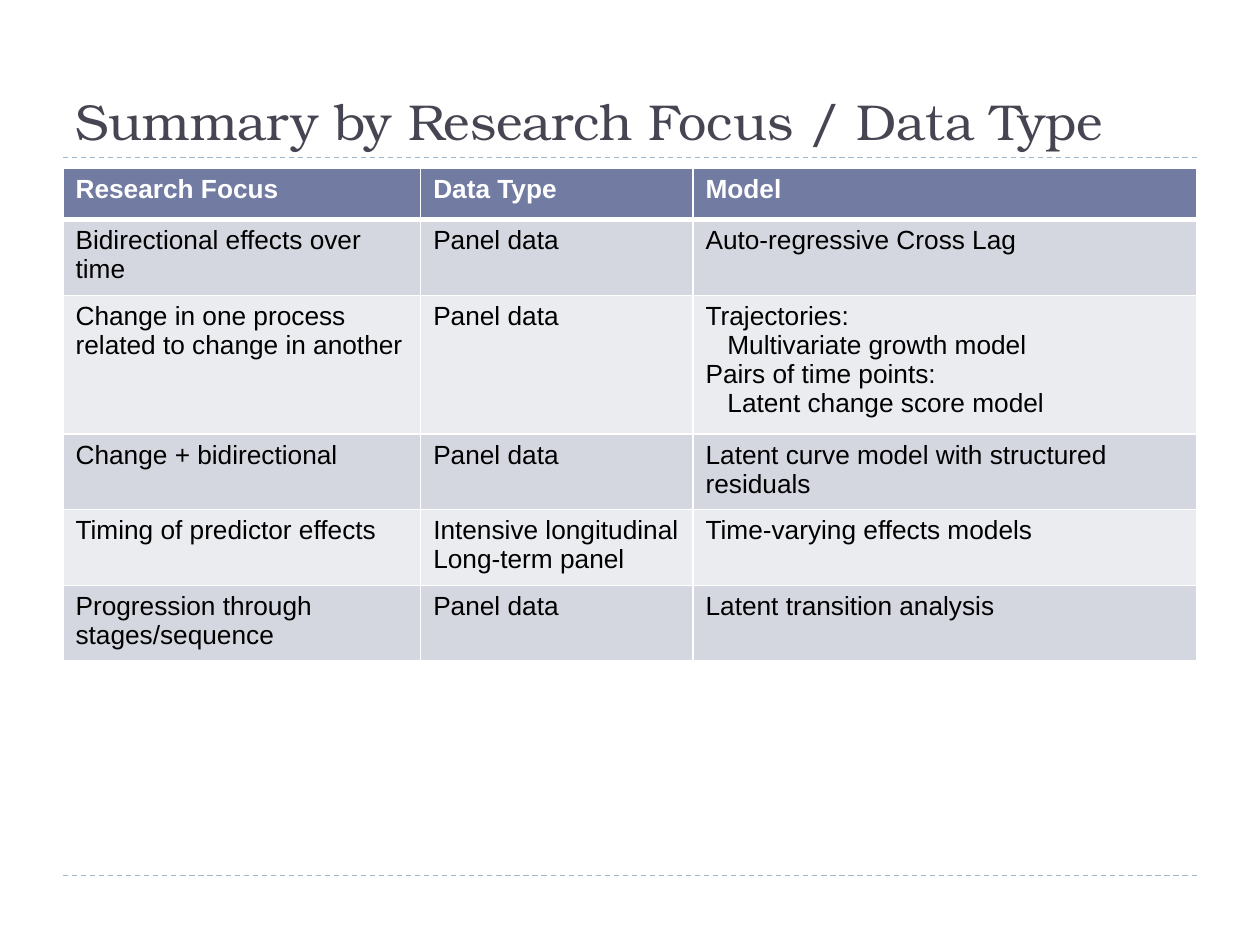
from pptx import Presentation
from pptx.dml.color import RGBColor
from pptx.enum.dml import MSO_LINE_DASH_STYLE as Dash
from pptx.enum.shapes import MSO_CONNECTOR as Link
from pptx.enum.text import MSO_ANCHOR as Anchor
from pptx.oxml import parse_xml
from pptx.oxml.ns import nsdecls
from pptx.util import Cm, Pt
from lxml.etree import SubElement

WHITE = RGBColor(0xFF, 0xFF, 0xFF)
BLACK = RGBColor(0, 0, 0)
SLATE = RGBColor(0x46, 0x46, 0x53)
RULE = RGBColor(0x9F, 0xB8, 0xCD)
HEAD = RGBColor(0x72, 0x7C, 0xA3)
BANDS = RGBColor(0xD5, 0xD7, 0xE0), RGBColor(0xEB, 0xEC, 0xF0)

LEFT, WIDE = 1.27, 22.86
COLS = 7.21, 5.49, 10.16
ROWS = [
    ("Research Focus", "Data Type", "Model"),
    ("Bidirectional effects over time", "Panel data", "Auto-regressive Cross Lag"),
    ("Change in one process related to change in another", "Panel data",
     "Trajectories:\n\tMultivariate growth model\n"
     "Pairs of time points:\n\tLatent change score model"),
    ("Change + bidirectional", "Panel data",
     "Latent curve model with structured residuals"),
    ("Timing of predictor effects", "Intensive longitudinal\nLong-term panel",
     "Time-varying effects models"),
    ("Progression through stages/sequence", "Panel data", "Latent transition analysis"),
]


def write(frame, text, font="Arial", size=15, color=BLACK, bold=False):
    """Fill a text frame line by line, indenting lines that start with a tab."""
    for i, line in enumerate(text.split("\n")):
        para = frame.add_paragraph() if i else frame.paragraphs[0]
        if line.startswith("\t"):
            para._p.get_or_add_pPr().set("marL", str(Cm(0.44)))
        run = para.add_run()
        run.text = line.strip()
        run.font.name, run.font.size, run.font.bold = font, Pt(size), bold
        run.font.color.rgb = color


def add_rule(slide, x, y, w):
    """Draw a dashed rule across the given width."""
    rule = slide.shapes.add_connector(Link.STRAIGHT, Cm(x), Cm(y), Cm(x + w), Cm(y))
    rule.line.color.rgb = RULE
    rule.line.width = Pt(0.75)
    rule.line.dash_style = Dash.DASH
    SubElement(rule._element.spPr, "{http://schemas.openxmlformats.org/drawingml/2006/main}effectLst")


def add_title(slide, x, y, w, h, text):
    """Set the title at the foot of its box, over a rule."""
    add_rule(slide, x, y + h, w)
    frame = slide.shapes.add_textbox(Cm(x), Cm(y), Cm(w), Cm(h)).text_frame
    frame.word_wrap = True
    frame.vertical_anchor = Anchor.BOTTOM
    write(frame, text, font="TeX Gyre Bonum", size=28.8, color=SLATE)


def set_edges(cell, top, base):
    """Give a cell white borders of the given top and base widths."""
    props = cell._tc.get_or_add_tcPr()
    for i, (side, size) in enumerate(zip("LRTB", (1, 1, top, base))):
        props.insert(i, parse_xml(
            f'<a:ln{side} {nsdecls("a")} w="{Pt(size)}"><a:solidFill>'
            f'<a:srgbClr val="{WHITE}"/></a:solidFill></a:ln{side}>'))


def add_grid(slide, x, y, w, row_h):
    """Build the banded table under its header row."""
    grid = slide.shapes.add_table(len(ROWS), len(COLS), Cm(x), Cm(y), Cm(w),
                                  Cm(row_h * len(ROWS))).table
    for col, size in zip(grid.columns, COLS):
        col.width = Cm(size)
    for r, row in enumerate(ROWS):
        top = r == 0
        for c, text in enumerate(row):
            cell = grid.cell(r, c)
            cell.fill.solid()
            cell.fill.fore_color.rgb = HEAD if top else BANDS[(r - 1) % 2]
            set_edges(cell, 3 if r == 1 else 1, 3 if top else 1)
            write(cell.text_frame, text, color=WHITE if top else BLACK, bold=top)


def main():
    """Build and save the slide."""
    deck = Presentation()
    deck.slide_width, deck.slide_height = Cm(25.4), Cm(19.05)
    slide = deck.slides.add_slide(deck.slide_layouts[6])
    add_rule(slide, LEFT, 17.65, WIDE)
    add_title(slide, LEFT, 0.43, WIDE, 2.74, "Summary by Research Focus / Data Type")
    add_grid(slide, LEFT, 3.39, WIDE, 1.04)
    deck.save("out.pptx")


if __name__ == "__main__":
    main()
